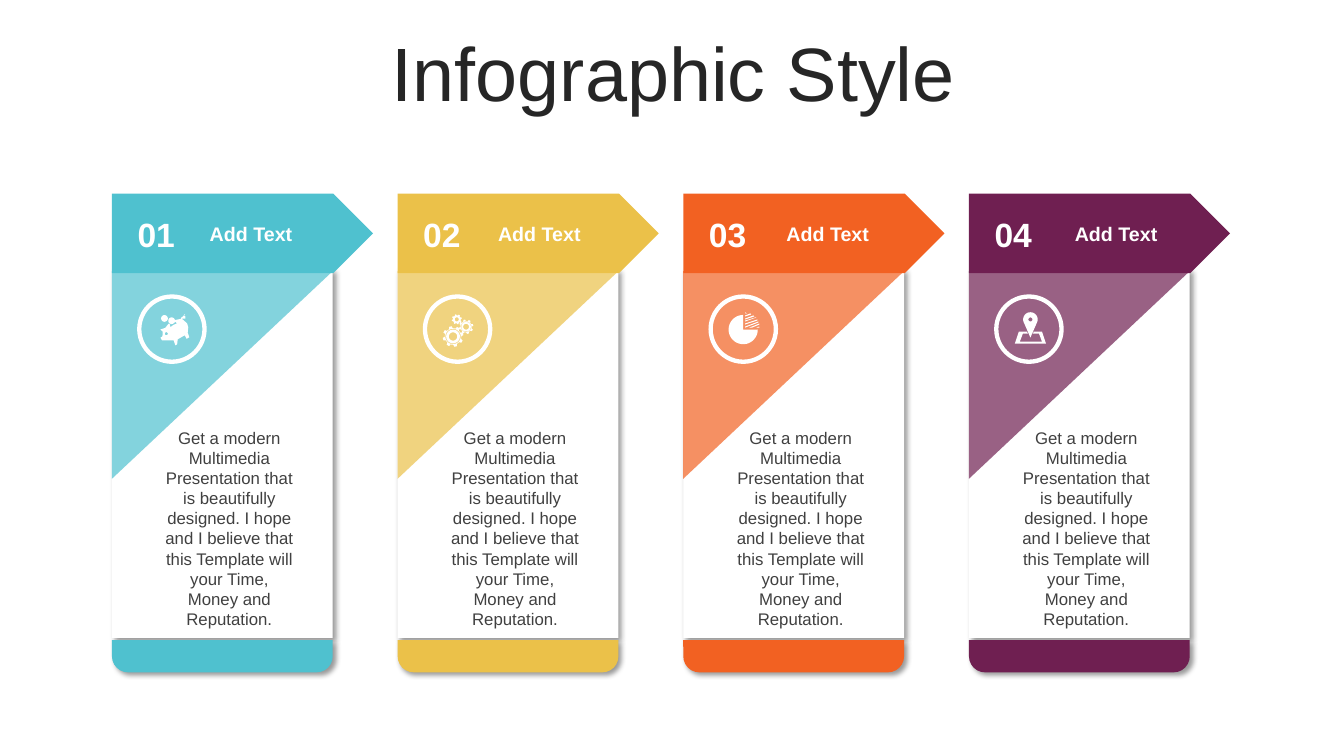
"""Build the four-card infographic slide."""
import math

import pptx
import pptx.dml.color
import pptx.enum.shapes
import pptx.enum.text
import pptx.oxml
import pptx.oxml.ns
import pptx.util

Inches = pptx.util.Inches
SHAPE = pptx.enum.shapes.MSO_SHAPE
FONT = "Arial"
COLORS = {
    "white": "FFFFFF", "title": "262626", "body": "404040", "shadow": "000000",
    "teal": "4FC1CF", "gold": "EBC149", "orange": "F26122", "plum": "6F1F51",
}

TITLE = "Infographic Style"
DESCRIPTION = (
    "Get a modern Multimedia Presentation that is beautifully designed. "
    "I hope and I believe that this Template will your Time, Money and Reputation."
)
CARDS = [
    ("01", "Add Text", "teal", "pig"),
    ("02", "Add Text", "gold", "gears"),
    ("03", "Add Text", "orange", "pie"),
    ("04", "Add Text", "plum", "pin"),
]
FIRST_LEFT, CARD_PITCH, CARD_WIDTH = 1.11, 8.5 / 3, 2.19
LABEL_LEFT, LABEL_PITCH = 1.87, 2.86
ICON_X, ICON_Y = 0.59, 3.26

PIG_BODY = [
    (19, -7), (17, -6), (18, -5), (17, -3), (15, -4), (15, -5), (14, -4), (16, 2),
    (15, 6), (12, 10), (11, 15), (8, 15), (8, 11), (0, 11), (-3, 15), (-5, 15),
    (-4, 10), (-11, 6), (-14, 4), (-14, 1), (-12, 1), (-11, 0), (-9, -3), (-10, -6),
    (-5, -5), (0, -7), (1, -5), (0, -5), (0, -3), (3.5, -3.5), (7, -3), (7, -5),
    (6, -5), (7, -7), (13, -5), (14, -6), (16, -6), (18, -7),
]
PIE_STRIPES = [
    [(16.5, -2), (16.5, -1), (13.5, -1)],
    [(16.5, -5), (16.5, -4), (9.5, -1), (6.5, -1)],
    [(15.5, -7), (15.5, -6), (2.5, -1), (2.5, -2)],
    [(14.5, -9), (14.5, -8), (2.5, -4), (2.5, -5)],
    [(12.5, -11), (13.5, -11), (2.5, -7), (2.5, -8)],
    [(10.5, -13), (11.5, -12), (2.5, -9), (2.5, -10)],
    [(7.5, -15), (8.5, -14), (2.5, -12), (2.5, -13)],
    [(2.5, -16), (4.5, -15), (2.5, -15)],
]
MAP_FRAME = [
    (-9.5, 3), (-1.5, 3), (-0.5, 5), (-5.5, 5), (-8.5, 13), (13.5, 13),
    (10.5, 5), (4.5, 5), (5.5, 3), (13.5, 3), (17.5, 15), (-13.5, 15),
]


def arc(x, y, radius, start=0, end=360, steps=32):
    """Return points along an arc, clockwise from the right."""
    angles = [math.radians(start + (end - start) * i / steps) for i in range(steps + 1)]
    return [(x + radius * math.cos(a), y + radius * math.sin(a)) for a in angles]


def gear(x, y, radius, rings, teeth=8):
    """Return a toothed outline followed by its inner rings."""
    outline = []
    for tooth in range(teeth):
        for share, turn in ((0.8, -0.28), (1, -0.16), (1, 0.16), (0.8, 0.28)):
            angle = 2 * math.pi * (tooth + turn) / teeth
            outline.append((x + radius * share * math.cos(angle),
                            y + radius * share * math.sin(angle)))
    return [outline] + [arc(x, y, radius * ring) for ring in rings]


ICONS = {
    "pig": (330, [PIG_BODY, arc(-7, 0.5, 1.5), arc(4, -8, 3.3), arc(-1, -13.5, 3.3)]),
    "gears": (345, gear(-5.5, 6.5, 10.3, (0.74, 0.66, 0.4))
              + gear(9.5, 0.5, 7.2, (0.74, 0.66, 0.4)) + gear(2.5, -9, 5, (0.4,))),
    "pie": (0, [arc(0.5, 1, 14.5, 0, 270) + [(0.5, 1)]] + PIE_STRIPES),
    "pin": (0, [MAP_FRAME, arc(2, -9, 7.2, 150, 390) + [(2, 9)], arc(2, -9, 2)]),
}


def rgb(name):
    return pptx.dml.color.RGBColor.from_string(COLORS[name])


def paint(shape, color, alpha=None):
    """Give a shape a plain fill, no line and no shadow."""
    shape.shadow.inherit = False
    shape.fill.solid()
    shape.fill.fore_color.rgb = rgb(color)
    shape.line.fill.background()
    if alpha:
        tint = shape._element.spPr.find(".//" + pptx.oxml.ns.qn("a:srgbClr"))
        pptx.oxml.ns.qn("a:alpha")
        tint.append(pptx.oxml.parse_xml(
            f'<a:alpha {pptx.oxml.ns.nsdecls("a")} val="{alpha * 1000}"/>'))


def add_shadow(shape):
    effects = shape._element.spPr.find(pptx.oxml.ns.qn("a:effectLst"))
    effects.append(pptx.oxml.parse_xml(
        f'<a:outerShdw {pptx.oxml.ns.nsdecls("a")} blurRad="50800" dist="38100" '
        f'dir="2700000" algn="tl" rotWithShape="0"><a:srgbClr val="{COLORS["shadow"]}">'
        '<a:alpha val="40000"/></a:srgbClr></a:outerShdw>'))


def add_part(page, kind, place, color, rotation=0, adjust=(), alpha=None):
    shape = page.shapes.add_shape(kind, *map(Inches, place))
    shape.rotation = rotation
    for index, value in enumerate(adjust):
        shape.adjustments[index] = value
    paint(shape, color, alpha)
    return shape


def write(frame, text, size, color, bold=False):
    frame.word_wrap = True
    para = frame.paragraphs[0]
    para.alignment = pptx.enum.text.PP_ALIGN.CENTER
    span = para.add_run()
    span.text = text
    span.font.name = FONT
    span.font.size = pptx.util.Pt(size)
    span.font.bold = bold
    span.font.color.rgb = rgb(color)
    return para


def add_text(page, place, *style):
    box = page.shapes.add_textbox(*map(Inches, place))
    write(box.text_frame, *style)
    box.text_frame.auto_size = pptx.enum.text.MSO_AUTO_SIZE.SHAPE_TO_FIT_TEXT


def add_icon(page, name, x, y):
    """Draw an icon whose outlines are in hundredths of an inch around x, y."""
    rotation, outlines = ICONS[name]
    builder = None
    for outline in outlines:
        points = [(Inches(x + dx / 100), Inches(y + dy / 100)) for dx, dy in outline]
        if builder is None:
            builder = page.shapes.build_freeform(*points[0])
        else:
            builder.move_to(*points[0])
        builder.add_line_segments(points[1:], close=True)
    icon = builder.convert_to_shape()
    icon.rotation = rotation
    paint(icon, "white")


def add_card(page, index, number, label, color, icon):
    left = FIRST_LEFT + index * CARD_PITCH
    panel = add_part(page, SHAPE.RECTANGLE, (left, 2.67, CARD_WIDTH, 3.66), "white")
    add_shadow(panel)
    add_part(page, SHAPE.PENTAGON, (left, 1.92, 2.59, 0.79), color)
    add_part(page, SHAPE.ISOSCELES_TRIANGLE, (left, 2.69, CARD_WIDTH, 2.06), color,
             180, (1,), 70)
    foot = add_part(page, SHAPE.ROUND_2_SAME_RECTANGLE, (left, 6.35, CARD_WIDTH, 0.32),
                    color, 180, (0.5, 0))
    add_shadow(foot)
    add_part(page, SHAPE.DONUT, (left + 0.25, 2.92, 0.69, 0.69), "white", 0, (0.062,))
    add_icon(page, icon, left + ICON_X, ICON_Y)
    add_text(page, (left + 0.14, 2.07, 0.6, 0.5), number, 24, "white", True)
    add_text(page, (LABEL_LEFT + index * LABEL_PITCH, 2.15, 1.24, 0.34),
             label, 14, "white", True)
    add_text(page, (left + 0.42, 4.19, 1.49, 2.12), DESCRIPTION, 12, "body")


def main():
    deck = pptx.Presentation()
    deck.slide_width, deck.slide_height = Inches(13.33), Inches(7.5)
    page = deck.slides.add_slide(deck.slide_layouts[5])
    title = page.shapes.title
    title.left, title.top, title.width, title.height = map(Inches, (0.35, 0.37, 12.66, 0.79))
    title.text_frame.vertical_anchor = pptx.enum.text.MSO_ANCHOR.MIDDLE
    write(title.text_frame, TITLE, 54, "title").line_spacing = 0.9
    for index, card in enumerate(CARDS):
        add_card(page, index, *card)
    deck.save("out.pptx")


if __name__ == "__main__":
    main()
